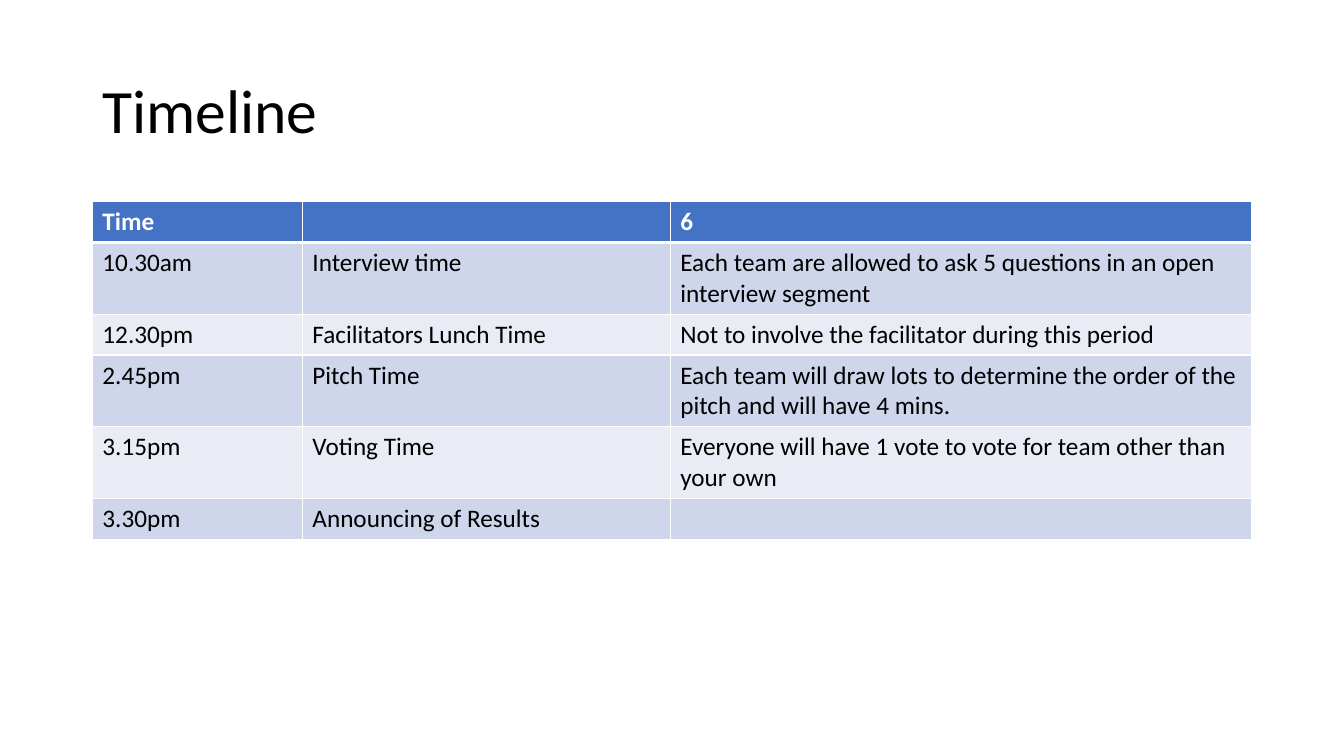
from dataclasses import dataclass

from lxml import etree
from pptx import Presentation
from pptx import util as u
from pptx.dml.color import RGBColor
from pptx.enum import text
from pptx.oxml import ns


@dataclass(frozen=True)
class Theme:
    font: str = "Calibri"
    title_size: int = 44
    table_size: int = 18
    ink: str = "000000"
    paper: str = "FFFFFF"
    header: str = "4472C4"
    bands: tuple = ("CFD5EA", "E9EBF5")
    rule: int = 1
    header_rule: int = 3


def write(frame, content, font, size, color, bold=False, spacing=1.0):
    paragraph = frame.paragraphs[0]
    paragraph.alignment = text.PP_ALIGN.LEFT
    paragraph.line_spacing = spacing
    paragraph.font.size = u.Pt(size)
    if content:
        run = paragraph.add_run()
        run.text = content
        run.font.name = font
        run.font.size = u.Pt(size)
        run.font.bold = bold
        run.font.color.rgb = RGBColor.from_string(color)


def draw_border(cell, side, color, width):
    properties = cell._tc.get_or_add_tcPr()
    line = etree.SubElement(properties, ns.qn(f"a:ln{side}"), w=str(u.Pt(width)))
    fill = etree.SubElement(line, ns.qn("a:solidFill"))
    etree.SubElement(fill, ns.qn("a:srgbClr"), val=color)


class SlideBuilder:
    COLUMNS, ROWS = 160, 90

    def __init__(self, presentation, theme):
        self.theme = theme
        self.column = presentation.slide_width / self.COLUMNS
        self.row = presentation.slide_height / self.ROWS
        self.slide = presentation.slides.add_slide(presentation.slide_layouts[5])

    def place(self, left, top, width, height):
        return [round(value) for value in (left * self.column, top * self.row,
                                           width * self.column, height * self.row)]

    def title(self, content, *box):
        shape = self.slide.shapes.title
        shape.left, shape.top, shape.width, shape.height = self.place(*box)
        frame = shape.text_frame
        frame.word_wrap = True
        frame.auto_size = text.MSO_AUTO_SIZE.NONE
        frame.vertical_anchor = text.MSO_ANCHOR.MIDDLE
        write(frame, content, self.theme.font, self.theme.title_size,
              self.theme.ink, spacing=0.9)

    def table(self, records, left, top, widths, row_height):
        theme = self.theme
        box = self.place(left, top, sum(widths), row_height * len(records))
        table = self.slide.shapes.add_table(len(records), len(widths), *box).table
        for column, width in zip(table.columns, widths):
            column.width = round(width * self.column)
        for index, record in enumerate(records):
            table.rows[index].height = round(row_height * self.row)
            is_header = index == 0
            fill = theme.header if is_header else theme.bands[(index - 1) % 2]
            color = theme.paper if is_header else theme.ink
            for position, content in enumerate(record):
                cell = table.cell(index, position)
                for side in "LRTB":
                    heavy = (index, side) in ((0, "B"), (1, "T"))
                    draw_border(cell, side, theme.paper,
                                theme.header_rule if heavy else theme.rule)
                cell.fill.solid()
                cell.fill.fore_color.rgb = RGBColor.from_string(fill)
                write(cell.text_frame, content, theme.font, theme.table_size,
                      color, bold=is_header)


TIMELINE = [
    ("Time", "", "6"),
    ("10.30am", "Interview time",
     "Each team are allowed to ask 5 questions in an open interview segment"),
    ("12.30pm", "Facilitators Lunch Time",
     "Not to involve the facilitator during this period"),
    ("2.45pm", "Pitch Time",
     "Each team will draw lots to determine the order of the pitch and will have 4 mins."),
    ("3.15pm", "Voting Time",
     "Everyone will have 1 vote to vote for team other than your own"),
    ("3.30pm", "Announcing of Results", ""),
]

presentation = Presentation()
presentation.slide_width = u.Inches(13.33)
presentation.slide_height = u.Inches(7.5)

builder = SlideBuilder(presentation, Theme())
builder.title("Timeline", 11, 4.8, 138, 17.4)
builder.table(TIMELINE, left=11, top=24, widths=(25, 43.8, 69.2), row_height=4.87)

presentation.save("out.pptx")
